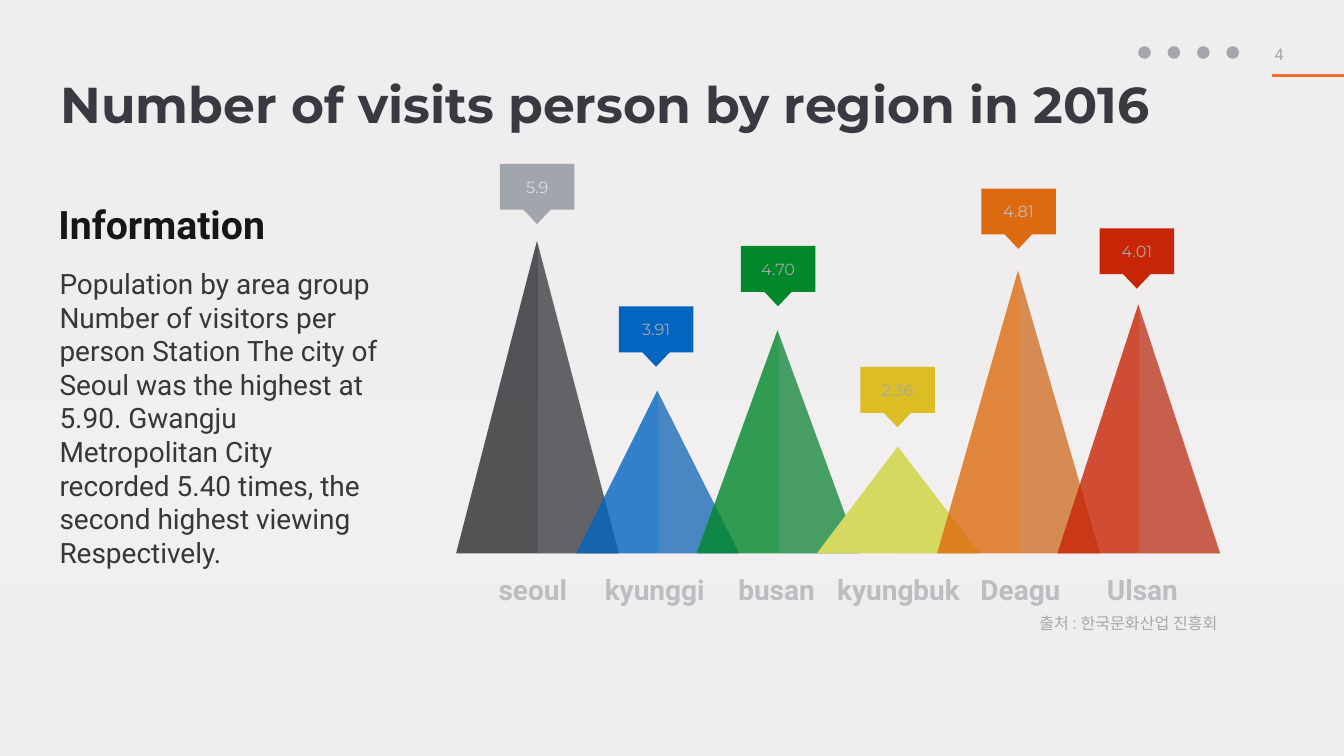
"""Build a slide of regional visits per person, shown as peaks with tags."""
from copy import deepcopy
from dataclasses import dataclass

from lxml import etree
from pptx import Presentation
from pptx.dml.color import RGBColor
from pptx.enum.dml import MSO_FILL
from pptx.enum.shapes import MSO_CONNECTOR, MSO_SHAPE
from pptx.enum.text import MSO_ANCHOR, MSO_AUTO_SIZE, PP_ALIGN
from pptx.oxml.ns import qn
from pptx.shapes.autoshape import Shape
from pptx.slide import Slide
from pptx.util import Pt

RECT, WEDGE, OVAL = MSO_SHAPE.RECTANGLE, MSO_SHAPE.ISOSCELES_TRIANGLE, MSO_SHAPE.OVAL
STRAIGHT = MSO_CONNECTOR.STRAIGHT
LEFT, CENTER, JUSTIFY = PP_ALIGN.LEFT, PP_ALIGN.CENTER, PP_ALIGN.JUSTIFY
TOP, MIDDLE = MSO_ANCHOR.TOP, MSO_ANCHOR.MIDDLE
GROW, FIXED = MSO_AUTO_SIZE.SHAPE_TO_FIT_TEXT, MSO_AUTO_SIZE.NONE
GRADIENT = MSO_FILL.GRADIENT

COLORS = {
    "title": "393941", "head": "151618", "body": "34383B", "grey": "A6A7AC",
    "label": "BCBDC1", "pale": "DCDEE0", "accent": "F56C2E", "coal": "2A2C2F",
    "steel": "A1A6AC", "blue": "0365C0", "green": "00882B", "lime": "D6D95F",
    "gold": "DCBD23", "orange": "DE6A10", "red": "C82506",
}
BACK = ((0, "EFEDEE"), (0.53, "F1EFF0"), (0.77, "EFEDEE"), (1, "EFEBEC"))
BASE, FIRST, STEP = 790.5, 651.6, 171.8
NAME_X, NAME_STEP = 761, 174.2
BODY = (
    "Population by area group Number of visitors per person Station The city of "
    "Seoul was the highest at 5.90. Gwangju Metropolitan City recorded 5.40 times, "
    "the second highest viewing Respectively."
)


@dataclass
class Region:
    """A region with its peak, tag and name."""
    name: str
    width: float
    value: str
    top: float
    tag_x: float
    tag_y: float
    fill: str
    tag: str
    ink: str = "grey"
    shade: str = "grey"
    clear: tuple[int, int] = (80, 20)


@dataclass
class Label:
    """A text box and its format."""
    text: str
    box: tuple[float, float, float, float]
    size: float
    color: str
    font: str = "Roboto"
    bold: bool = False
    align: PP_ALIGN = LEFT
    anchor: MSO_ANCHOR = TOP
    inset: tuple[float, float, float, float] = (3, 3, 3, 3)
    wrap: bool = True
    grow: bool = True
    space: float = 1.0


REGIONS = (
    Region("seoul", 131, "5.9", 344.2, 714.2, 234, "coal", "steel", "pale"),
    Region("kyunggi", 183.6, "3.91", 558, 884.2, 437.8, "blue", "blue"),
    Region("busan", 144, "4.70", 471.6, 1058.4, 351.4, "green", "green"),
    Region("kyungbuk", 219.6, "2.36", 638, 1229, 524.2, "lime", "gold",
           shade="lime", clear=(100, 100)),
    Region("Deagu", 153.4, "4.81", 386.6, 1401.8, 269.3, "orange", "orange", "label"),
    Region("Ulsan", 134.6, "4.01", 434.9, 1571, 326.2, "red", "red"),
)
LABELS = (
    Label("Number of visits person by region in 2016", (83.5, 117.4, 1656, 116.6), 72,
          "title", "Montserrat", True, grow=False, space=0.8),
    Label("Information", (83.5, 278.6, 462, 82), 56, "head", bold=True,
          align=JUSTIFY, anchor=MIDDLE, inset=(0, 7.2, 14.4, 7.2)),
    Label(BODY, (85, 373.7, 461.5, 450.7), 40, "body", inset=(0, 7.2, 0, 7.2)),
    Label("4", (1813.7, 59.8, 47.5, 30.2), 23, "grey", align=JUSTIFY,
          inset=(7.2, 3.6, 7.2, 3.6), grow=False),
    Label("출처 : 한국문화산업 진흥회", (1481.8, 873.4, 290.9, 33.8), 23, "grey",
          align=JUSTIFY, anchor=MIDDLE, wrap=False),
)


def rgb(name: str) -> RGBColor:
    """Return the named colour."""
    return RGBColor.from_string(COLORS[name])


def paint(shape: Shape, color: str, clear: int = 100) -> None:
    """Fill a shape flat, with an opacity in percent."""
    shape.shadow.inherit = False
    shape.fill.solid()
    shape.fill.fore_color.rgb = rgb(color)
    shape.line.fill.background()
    if clear < 100:
        tint = shape.fill._xPr.find(".//" + qn("a:srgbClr"))
        etree.SubElement(tint, qn("a:alpha")).set("val", str(clear * 1000))


def write(shape: Shape, label: Label) -> None:
    """Set and format the text of a shape."""
    frame = shape.text_frame
    frame.text = label.text
    frame.word_wrap = label.wrap
    frame.auto_size = GROW if label.grow else FIXED
    frame.vertical_anchor = label.anchor
    (frame.margin_left, frame.margin_top,
     frame.margin_right, frame.margin_bottom) = map(Pt, label.inset)
    para = frame.paragraphs[0]
    para.alignment = label.align
    para.line_spacing = label.space
    font = para.runs[0].font
    font.name, font.size, font.bold = label.font, Pt(label.size), label.bold
    font.color.rgb = rgb(label.color)


def add_text(slide: Slide, label: Label) -> None:
    """Add a text box."""
    write(slide.shapes.add_textbox(*map(Pt, label.box)), label)


def add_peak(slide: Slide, index: int, region: Region) -> None:
    """Add a peak with its shaded right half."""
    shapes = slide.shapes.add_group_shape().shapes
    left = FIRST + index * STEP
    right, apex, fold = left + 232.5, left + 115.5, left + 117
    sides = (
        (((apex, region.top), (right, BASE), (left, BASE)), region.fill),
        (((fold, region.top + 3), (fold, BASE), (right, BASE)), region.shade),
    )
    for (points, color), clear in zip(sides, region.clear):
        start, *rest = [(Pt(x), Pt(y)) for x, y in points]
        form = shapes.build_freeform(*start)
        form.add_line_segments(rest, close=True)
        paint(form.convert_to_shape(), color, clear)


def add_tag(slide: Slide, region: Region) -> None:
    """Add a value tag that points down."""
    shapes = slide.shapes.add_group_shape().shapes
    box = (region.tag_x, region.tag_y, 106.5, 65.5)
    plate = shapes.add_shape(RECT, *map(Pt, box))
    paint(plate, region.tag)
    write(plate, Label(region.value, box, 23, region.ink, "Montserrat",
                       align=CENTER, anchor=MIDDLE, grow=False))
    tip = shapes.add_shape(WEDGE, Pt(region.tag_x + 32.5), Pt(region.tag_y + 64.5),
                           Pt(41), Pt(21.6))
    tip.rotation = 180
    paint(tip, region.tag)


def add_back(slide: Slide) -> None:
    """Set the gradient background."""
    fill = slide.background.fill
    fill.gradient()
    fill.gradient_angle = 270
    stops = slide._element.find(".//" + qn("a:gsLst"))
    while len(stops) < len(BACK):
        stops.append(deepcopy(stops[0]))
    for stop, (place, color) in zip(fill.gradient_stops, BACK):
        stop.position = place
        stop.color.rgb = RGBColor.from_string(color)


def add_head(slide: Slide) -> None:
    """Add the row of dots and the accent line."""
    for index in range(4):
        dot = slide.shapes.add_shape(OVAL, Pt(1626 + index * 42), Pt(66), Pt(18), Pt(18))
        paint(dot, "grey")
    rule = slide.shapes.add_connector(STRAIGHT, Pt(1817), Pt(108), Pt(1920), Pt(108))
    rule.line.color.rgb = rgb("accent")
    rule.line.width = Pt(4)
    etree.SubElement(rule._element.spPr, qn("a:effectLst"))


def main() -> None:
    """Build and save the slide."""
    deck = Presentation()
    deck.slide_width, deck.slide_height = Pt(1920), Pt(1080)
    slide = deck.slides.add_slide(deck.slide_layouts[6])
    add_back(slide)
    add_head(slide)
    for index, region in enumerate(REGIONS):
        add_peak(slide, index, region)
    for index, region in enumerate(REGIONS):
        add_tag(slide, region)
        left = NAME_X + index * NAME_STEP - region.width / 2
        add_text(slide, Label(region.name, (left, 810, region.width, 63.4), 40, "label",
                              bold=True, align=CENTER, wrap=False,
                              inset=(14.4, 7.2, 14.4, 7.2)))
    for label in LABELS:
        add_text(slide, label)
    deck.save("out.pptx")


if __name__ == "__main__":
    main()
